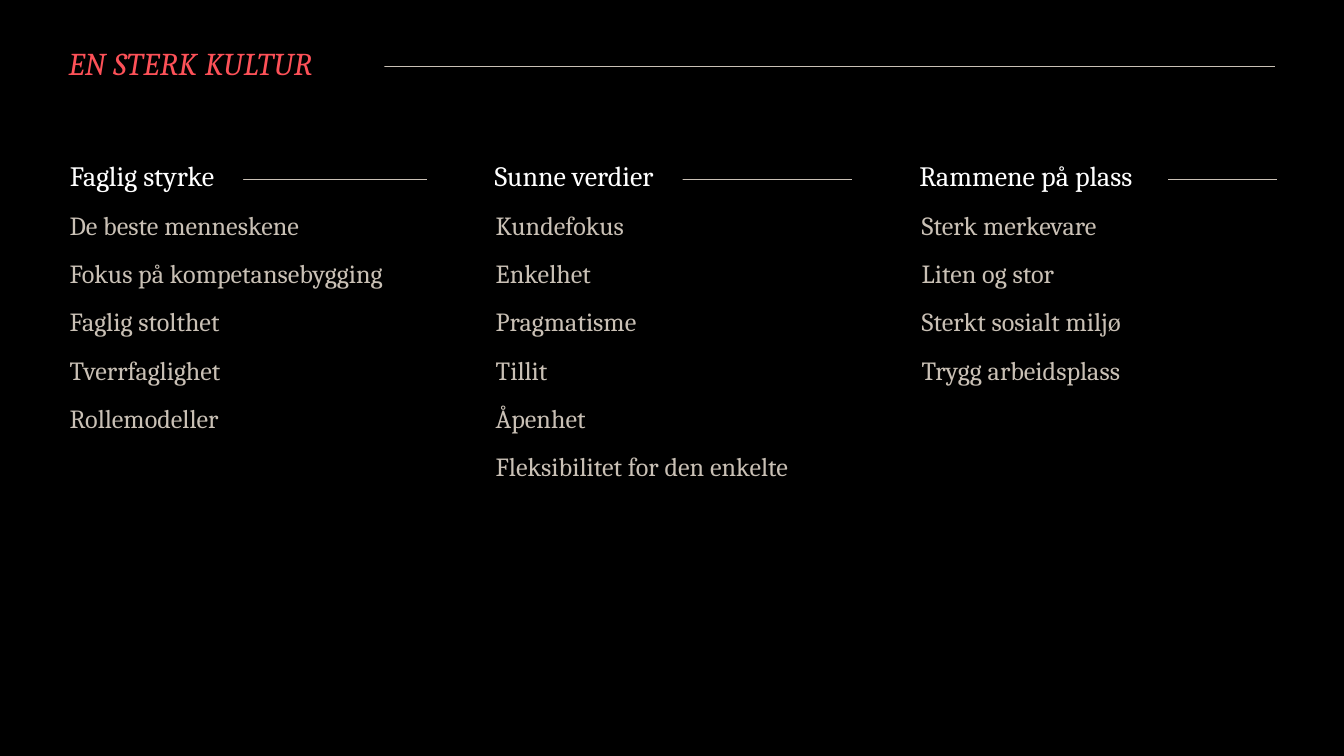
from lxml import etree
from pptx import Presentation
from pptx.dml.color import RGBColor
from pptx.enum.shapes import MSO_CONNECTOR, MSO_SHAPE
from pptx.enum.text import MSO_ANCHOR, MSO_AUTO_SIZE, PP_ALIGN
from pptx.oxml.ns import qn
from pptx.util import Inches, Pt

STRAIGHT = MSO_CONNECTOR.STRAIGHT
RECTANGLE = MSO_SHAPE.RECTANGLE
TOP = MSO_ANCHOR.TOP
MIDDLE = MSO_ANCHOR.MIDDLE
FIT_SHAPE = MSO_AUTO_SIZE.SHAPE_TO_FIT_TEXT
LEFT = PP_ALIGN.LEFT

BLACK, WHITE, SAND, CORAL = "000000", "FFFFFF", "C9C0B5", "FD5158"
COLUMN_PITCH, POINTS_PITCH = 3.16, 3.17

# Heading, heading width, points
COLUMNS = [
    ("Faglig styrke", 1.41,
     ["De beste menneskene", "Fokus på kompetansebygging", "Faglig stolthet",
      "Tverrfaglighet", "Rollemodeller"]),
    ("Sunne verdier", 1.52,
     ["Kundefokus", "Enkelhet", "Pragmatisme", "Tillit", "Åpenhet",
      "Fleksibilitet for den enkelte"]),
    ("Rammene på plass", 1.97,
     ["Sterk merkevare", "Liten og stor", "Sterkt sosialt miljø",
      "Trygg arbeidsplass"]),
]


def color(value):
    return RGBColor.from_string(value)


class CultureSlide:
    font = "Cambria"

    def __init__(self, slide):
        self.slide = slide
        self.shapes = slide.shapes
        slide.background.fill.solid()
        slide.background.fill.fore_color.rgb = color(BLACK)

    def style(self, paragraph, size, ink, italic=False):
        paragraph.alignment = LEFT
        for run in paragraph.runs:
            run.font.name = self.font
            run.font.size = Pt(size)
            run.font.italic = italic
            run.font.color.rgb = color(ink)

    def rule(self, left, right, y, width):
        line = self.shapes.add_connector(
            STRAIGHT, Inches(left), Inches(y), Inches(right), Inches(y))
        line.line.color.rgb = color(SAND)
        line.line.width = Pt(width)
        etree.SubElement(line.element.spPr, qn("a:effectLst"))

    def label(self, shape, text, inset, size, ink, anchor, italic=False):
        """Black label that masks the start of the rule behind it."""
        shape.fill.solid()
        shape.fill.fore_color.rgb = color(BLACK)
        frame = shape.text_frame
        frame.text = text
        frame.word_wrap = False
        frame.auto_size = FIT_SHAPE
        frame.vertical_anchor = anchor
        frame.margin_left, frame.margin_right = Inches(inset), Inches(0.1)
        frame.margin_top = frame.margin_bottom = 0
        self.style(frame.paragraphs[0], size, ink, italic)

    def title(self, text, left, top, width, height):
        title = self.shapes.title
        title.left, title.top = Inches(left), Inches(top)
        title.width, title.height = Inches(width), Inches(height)
        self.label(title, text, 0.1, 17, CORAL, MIDDLE, italic=True)
        for run in title.text_frame.paragraphs[0].runs:
            run.font._element.set("spc", "20")
        # Bring the title in front of its rule
        title.element.getparent().append(title.element)

    def heading(self, text, left, top, width, height):
        heading = self.shapes.add_shape(
            RECTANGLE, Inches(left), Inches(top), Inches(width), Inches(height))
        heading.shadow.inherit = False
        heading.line.fill.background()
        self.label(heading, text, 0.12, 15, WHITE, TOP)

    def points(self, texts, left, top, width, height):
        box = self.shapes.add_textbox(
            Inches(left), Inches(top), Inches(width), Inches(height))
        frame = box.text_frame
        frame.word_wrap = True
        frame.text = "\n".join(texts)
        for index, paragraph in enumerate(frame.paragraphs):
            paragraph.space_before = Pt(5 if index else 0)
            paragraph.space_after = Pt(4)
            self.style(paragraph, 14, SAND)


def main():
    deck = Presentation()
    deck.slide_width = Inches(10)
    deck.slide_height = deck.slide_width * 9 // 16
    culture = CultureSlide(deck.slides.add_slide(deck.slide_layouts[5]))

    # Title with its rule
    culture.rule(0.53, 9.49, 0.49, 0.2)
    culture.title("EN STERK KULTUR", 0.41, 0.32, 2.45, 0.29)

    # Three columns
    for index, (heading, width, points) in enumerate(COLUMNS):
        column_left = 0.5 + index * COLUMN_PITCH
        points_left = 0.42 + index * POINTS_PITCH
        culture.rule(column_left, column_left + 2.68, 1.33, 0.1)
        culture.heading(heading, column_left - 0.1, 1.18, width, 0.25)
        culture.points(points, points_left, 1.51, 2.8, 4.98)

    deck.save("out.pptx")


if __name__ == "__main__":
    main()
